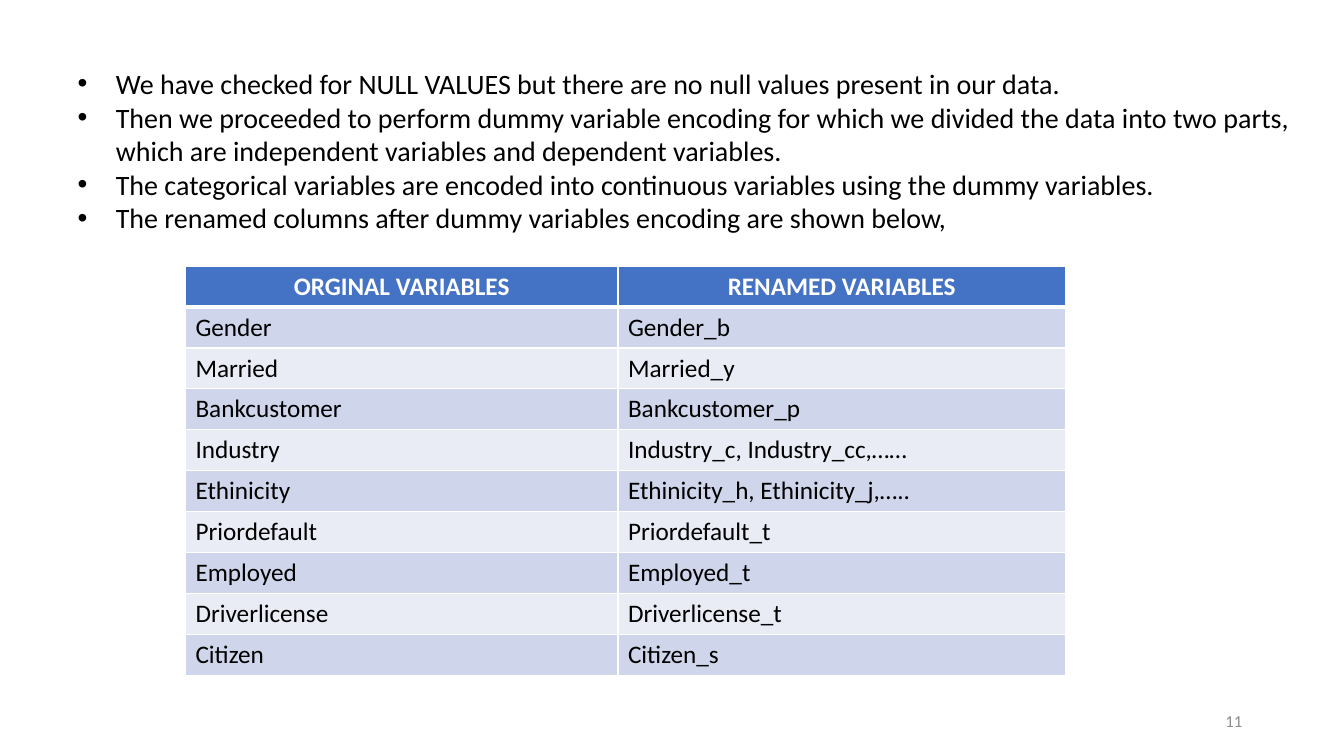
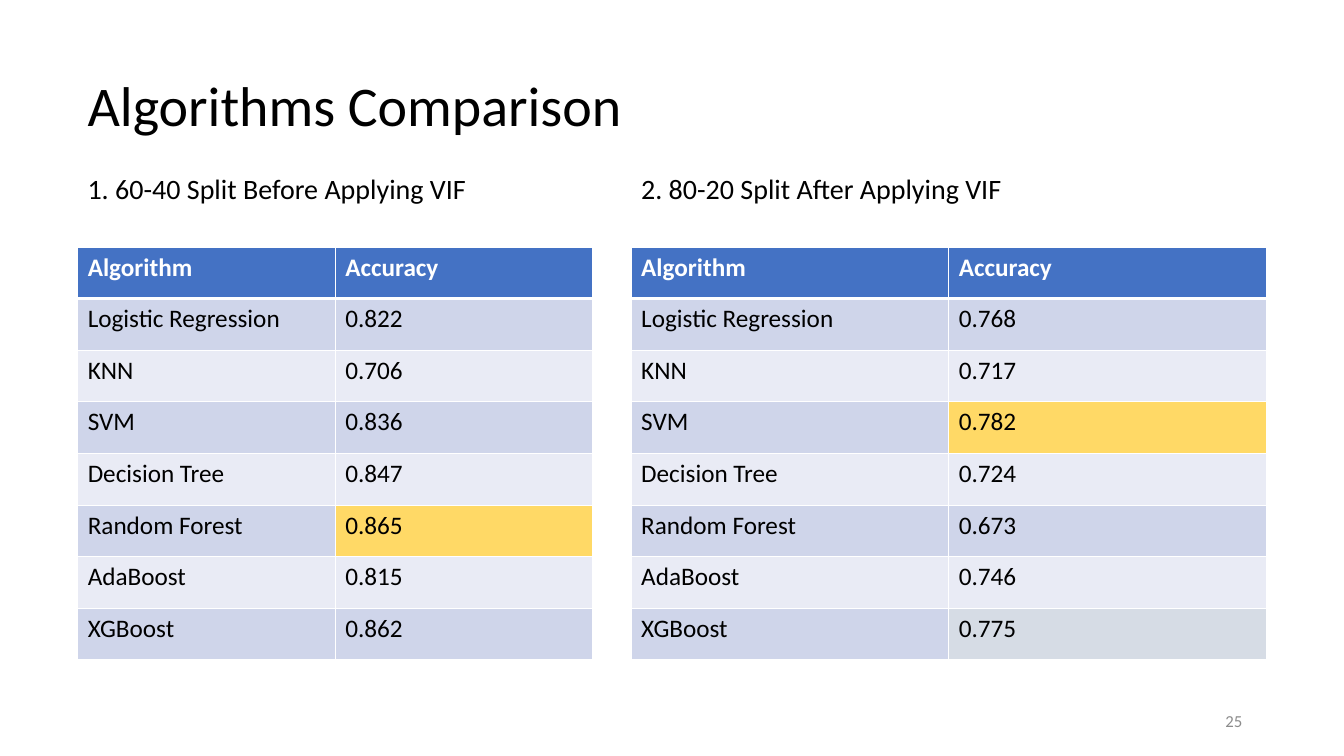
from typing import NamedTuple

from pptx import Presentation
from pptx import util as u
from pptx.dml.color import RGBColor
from pptx.enum import text
from pptx.oxml import parse_xml
from pptx.oxml.ns import nsdecls

FONT = "Calibri"
BLACK = RGBColor(0x00, 0x00, 0x00)
WHITE = RGBColor(0xFF, 0xFF, 0xFF)
GRAY = RGBColor(0x8C, 0x8C, 0x8C)
HEADER_BLUE = RGBColor(0x44, 0x72, 0xC4)
BANDS = (RGBColor(0xCF, 0xD5, 0xEA), RGBColor(0xE9, 0xEB, 0xF5))
BEST_YELLOW = RGBColor(0xFF, 0xD9, 0x66)
SECOND_GRAY = RGBColor(0xD6, 0xDC, 0xE5)

LEFT, RIGHT, CENTER = (text.PP_ALIGN.LEFT, text.PP_ALIGN.RIGHT,
                       text.PP_ALIGN.CENTER)


class Box(NamedTuple):
    """A region in inches, divided into 100 columns and 100 rows."""
    left: float
    top: float
    width: float
    height: float

    def area(self, column, row, columns, rows):
        return Box(self.left + self.width * column / 100,
                   self.top + self.height * row / 100,
                   self.width * columns / 100,
                   self.height * rows / 100)

    def lengths(self):
        return [u.Inches(length) for length in self]


PAGE = Box(0, 0, 13.33, 7.5)

BULLETS = [
    "We have checked for NULL VALUES but there are no null values present in our data.",
    "Then we proceeded to perform dummy variable encoding for which we divided "
    "the data into two parts, which are independent variables and dependent variables.",
    "The categorical variables are encoded into continuous variables using the dummy variables.",
    "The renamed columns after dummy variables encoding are shown below,",
]
VARIABLES = [
    ("ORGINAL VARIABLES", "RENAMED VARIABLES"),
    ("Gender", "Gender_b"),
    ("Married", "Married_y"),
    ("Bankcustomer", "Bankcustomer_p"),
    ("Industry", "Industry_c, Industry_cc,……"),
    ("Ethinicity", "Ethinicity_h, Ethinicity_j,….."),
    ("Priordefault", "Priordefault_t"),
    ("Employed", "Employed_t"),
    ("Driverlicense", "Driverlicense_t"),
    ("Citizen", "Citizen_s"),
]
ALGORITHMS = ["Logistic Regression", "KNN", "SVM", "Decision Tree",
              "Random Forest", "AdaBoost", "XGBoost"]
ACCURACY_BEFORE = ["0.822", "0.706", "0.836", "0.847", "0.865", "0.815", "0.862"]
ACCURACY_AFTER = ["0.768", "0.717", "0.782", "0.724", "0.673", "0.746", "0.775"]


def style_paragraph(paragraph, size, color, align=LEFT, bold=False):
    paragraph.alignment = align
    font = paragraph.font
    font.name, font.size, font.bold = FONT, u.Pt(size), bold
    font.color.rgb = color


def add_text(slide, box, lines, size, color=BLACK, align=LEFT,
             anchor=text.MSO_ANCHOR.TOP, bulleted=False):
    frame = slide.shapes.add_textbox(*box.lengths()).text_frame
    frame.word_wrap = True
    frame.vertical_anchor = anchor
    frame.text = "\n".join(lines)
    for paragraph in frame.paragraphs:
        if bulleted:
            add_bullet(paragraph)
        style_paragraph(paragraph, size, color, align)


def add_bullet(paragraph):
    properties = paragraph._p.get_or_add_pPr()
    properties.set("marL", str(u.Inches(0.38)))
    properties.set("indent", str(-u.Inches(0.38)))
    properties.append(parse_xml(f'<a:buFont {nsdecls("a")} typeface="Arial"/>'))
    properties.append(parse_xml(f'<a:buChar {nsdecls("a")} char="•"/>'))


def set_borders(cell, top, bottom):
    """White borders; the side borders are always 1 pt."""
    properties = cell._tc.get_or_add_tcPr()
    for side, width in zip("LRTB", (1, 1, top, bottom)):
        properties.append(parse_xml(
            f'<a:ln{side} {nsdecls("a")} w="{u.Pt(width)}"><a:solidFill>'
            f'<a:srgbClr val="{WHITE}"/></a:solidFill></a:ln{side}>'))


def add_table(slide, box, rows, column_shares=(50, 50), header_align=LEFT,
              highlights=None):
    """Banded table; highlights maps (row, column) to a fill."""
    highlights = highlights or {}
    table = slide.shapes.add_table(len(rows), len(column_shares),
                                   *box.lengths()).table
    for column, share in zip(table.columns, column_shares):
        column.width = u.Inches(box.width * share / 100)
    for row_index, row in enumerate(rows):
        table.rows[row_index].height = u.Inches(box.height / len(rows))
        header = row_index == 0
        band = HEADER_BLUE if header else BANDS[(row_index - 1) % 2]
        for column_index, value in enumerate(row):
            cell = table.cell(row_index, column_index)
            set_borders(cell, top=3 if row_index == 1 else 1,
                        bottom=3 if header else 1)
            cell.fill.solid()
            cell.fill.fore_color.rgb = highlights.get(
                (row_index, column_index), band)
            cell.text = value
            style_paragraph(cell.text_frame.paragraphs[0], 18,
                            WHITE if header else BLACK,
                            header_align if header else LEFT, header)


def add_slide(presentation, number):
    """Blank slide with the shared page number."""
    slide = presentation.slides.add_slide(presentation.slide_layouts[6])
    add_text(slide, PAGE.area(70.67, 92.67, 22.5, 5.33), [str(number)], 12,
             GRAY, RIGHT, text.MSO_ANCHOR.MIDDLE)
    return slide


def add_split_panel(slide, box, heading, accuracies, highlights):
    """Heading above a table of accuracies."""
    add_text(slide, box.area(0, 0, 100, 9), [heading], 20)
    rows = [("Algorithm", "Accuracy"), *zip(ALGORITHMS, accuracies)]
    add_table(slide, box.area(0, 16.33, 100, 83.67), rows,
              highlights=highlights)


def build_encoding_slide(presentation, box):
    slide = add_slide(presentation, 11)
    add_text(slide, box.area(5.03, 8.13, 92.57, 23.73), BULLETS, 20,
             bulleted=True)
    add_table(slide, box.area(13.8, 35.2, 65.49, 54.13), VARIABLES,
              column_shares=(49.14, 50.86), header_align=CENTER)


def build_comparison_slide(presentation, box):
    slide = add_slide(presentation, 25)
    add_text(slide, box.area(5.78, 8.67, 44.26, 10.27),
             ["Algorithms Comparison"], 40)
    add_split_panel(slide, box.area(5.78, 22, 38.33, 65.33),
                    "1. 60-40 Split Before Applying VIF", ACCURACY_BEFORE,
                    {(5, 1): BEST_YELLOW})
    add_split_panel(slide, box.area(46.96, 22, 47.26, 65.33),
                    "2. 80-20 Split After Applying VIF", ACCURACY_AFTER,
                    {(3, 1): BEST_YELLOW, (7, 1): SECOND_GRAY})


def main():
    presentation = Presentation()
    presentation.slide_width = u.Inches(PAGE.width)
    presentation.slide_height = u.Inches(PAGE.height)
    build_encoding_slide(presentation, PAGE)
    build_comparison_slide(presentation, PAGE)
    presentation.save("out.pptx")


if __name__ == "__main__":
    main()
